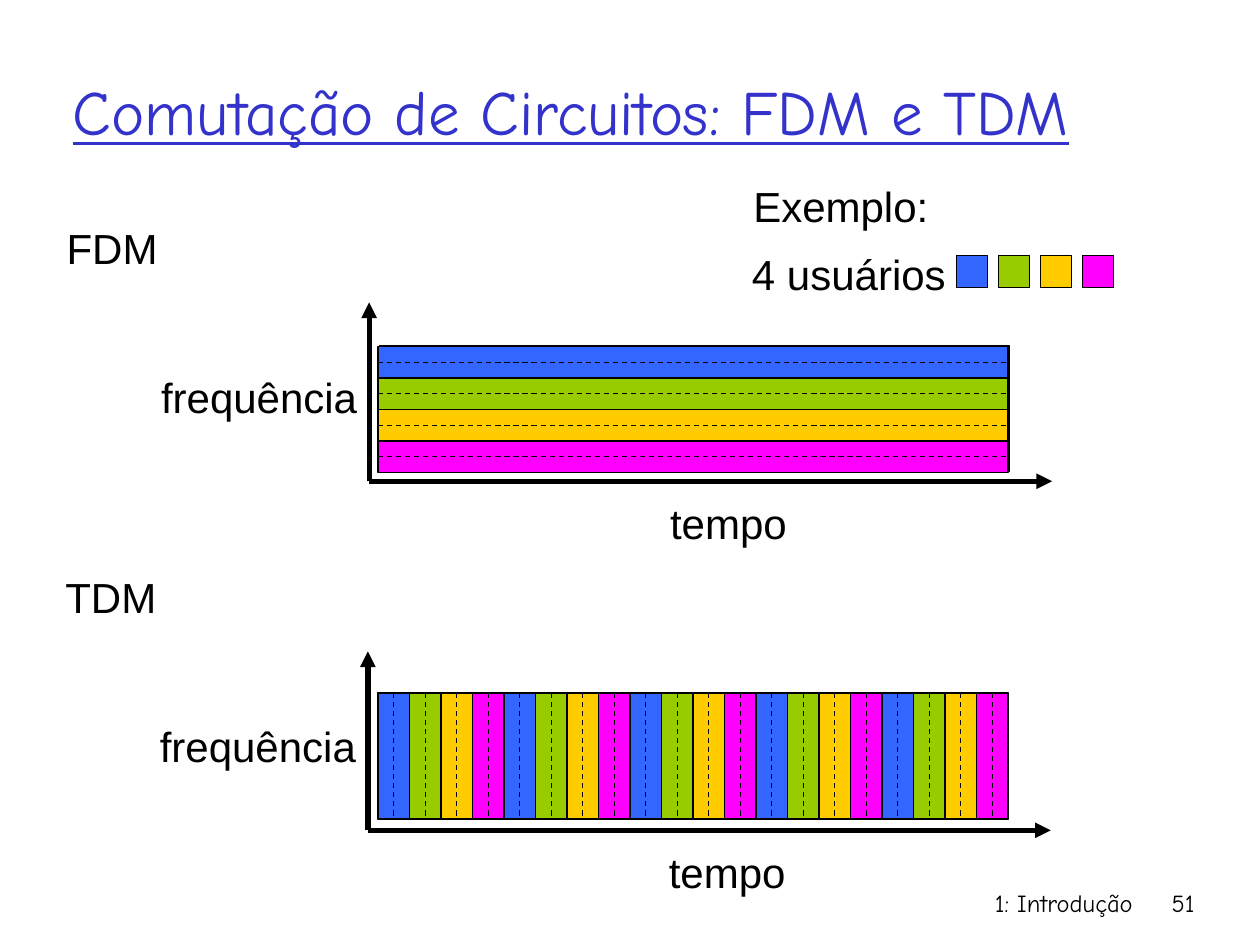
from pptx import Presentation
from pptx.dml.color import RGBColor
from pptx.enum.dml import MSO_LINE_DASH_STYLE as Dash
from pptx.enum.shapes import MSO_CONNECTOR as Link, MSO_SHAPE as Shape
from pptx.enum.text import MSO_ANCHOR as Anchor, PP_ALIGN as Align
from pptx.oxml.ns import qn
from pptx.util import Inches, Pt
from lxml.etree import SubElement

USERS = ["3366FF", "99CC00", "FFCC00", "FF00FF"]
BLACK = "000000"
BLUE = "3333CC"
COMIC = "Comic Neue"
SLOT = 0.25


def color(code):
    """Turn a hex string into a colour."""
    return RGBColor.from_string(code)


def add_text(slide, box, words, size=24, face="Arial", ink=BLACK,
             wrap=False, align=Align.LEFT, anchor=Anchor.TOP, under=None):
    """Put one line of text in a box."""
    frame = slide.shapes.add_textbox(*map(Inches, box)).text_frame
    frame.word_wrap = wrap
    frame.vertical_anchor = anchor
    para = frame.paragraphs[0]
    para.alignment = align
    run = para.add_run()
    run.text = words
    font = run.font
    font.name, font.size, font.underline = face, Pt(size), under
    font.color.rgb = color(ink)


def add_rect(slide, box, fill):
    """Draw a thinly outlined rectangle."""
    rect = slide.shapes.add_shape(Shape.RECTANGLE, *map(Inches, box))
    rect.shadow.inherit = False
    rect.fill.solid()
    rect.fill.fore_color.rgb = color(fill)
    rect.line.color.rgb = color(BLACK)
    rect.line.width = Pt(0.75)
    return rect


def add_line(slide, start, end, width=0.75, dash=None, arrow=False):
    """Draw a black line, with an arrowhead at its end if asked."""
    line = slide.shapes.add_connector(
        Link.STRAIGHT, *map(Inches, (*start, *end)))
    line.line.color.rgb = color(BLACK)
    line.line.width = Pt(width)
    line.line.dash_style = dash
    props = line._element.spPr
    if arrow:
        SubElement(props.find(qn("a:ln")), qn("a:tailEnd"), type="triangle")
    SubElement(props, qn("a:effectLst"))
    return line


def add_axes(slide, left, top, name):
    """Draw the named axes, with the corner 1.42 below the top."""
    base = top + 1.42
    add_text(slide, (left - 2.5, top - 0.68, 0.92, 0.5), name)
    add_text(slide, (left - 1.75, top + 0.5, 1.76, 0.5), "frequência")
    add_text(slide, (left + 2.29, base + 0.08, 1.13, 0.5), "tempo")
    add_line(slide, (left, base), (left, top), 3, arrow=True)
    add_line(slide, (left, base), (left + 5.42, base), 3, arrow=True)


def add_bands(slide, left, top, width, height, count, across):
    """Split a box into user bands, each with a dashed middle line."""
    bands = []
    for i in range(count):
        shift = i * SLOT
        if across:
            box = (left, top + shift, width, SLOT)
        else:
            box = (left + shift, top, SLOT, height)
        bands.append((add_rect(slide, box, USERS[i % len(USERS)]), box))
    for i, (band, (x, y, w, h)) in enumerate(bands):
        end = (x + w, y) if across else (x, y + h)
        if i:
            add_line(slide, (x, y), end)
        mid = add_line(slide, (x, y), end, dash=Dash.DASH)
        mid.begin_connect(band, 1 if across else 0)
        mid.end_connect(band, 3 if across else 2)


def add_legend(slide, left, top):
    """Show the example and one square for each user."""
    add_text(slide, (left + 0.01, top, 1.59, 0.5), "Exemplo:")
    add_text(slide, (left, top + 0.54, 1.74, 0.5), "4 usuários")
    for i, fill in enumerate(USERS):
        add_rect(slide, (left + 1.72 + i / 3, top + 0.65, SLOT, SLOT), fill)


def add_footer(slide, left, top):
    """Write the chapter and the slide number."""
    for x, width, words in ((left, 3.17, "1: Introdução"),
                            (left + 3.16, 0.5, "51")):
        add_text(slide, (x, top, width, 0.5), words, 14, COMIC,
                 wrap=True, align=Align.RIGHT)


def main():
    """Build and save the slide."""
    deck = Presentation()
    deck.slide_width, deck.slide_height = Inches(10), Inches(7.5)
    slide = deck.slides.add_slide(deck.slide_layouts[6])
    add_footer(slide, 5.92, 7)
    add_text(slide, (0.48, 0.25, 9.26, 1.25),
             "Comutação de Circuitos: FDM e TDM", 36, COMIC, BLUE,
             wrap=True, anchor=Anchor.MIDDLE, under=True)
    add_axes(slide, 2.93, 2.4, "FDM")
    add_rect(slide, (3.01, 2.74, 5, 1), "00CC99")
    add_bands(slide, 3, 2.75, 5, 1, 4, True)
    add_axes(slide, 2.92, 5.17, "TDM")
    add_rect(slide, (3, 5.5, 5, 1), "00CC99")
    add_bands(slide, 3, 5.5, 5, 1, 20, False)
    add_legend(slide, 5.87, 1.38)
    deck.save("out.pptx")


if __name__ == "__main__":
    main()
